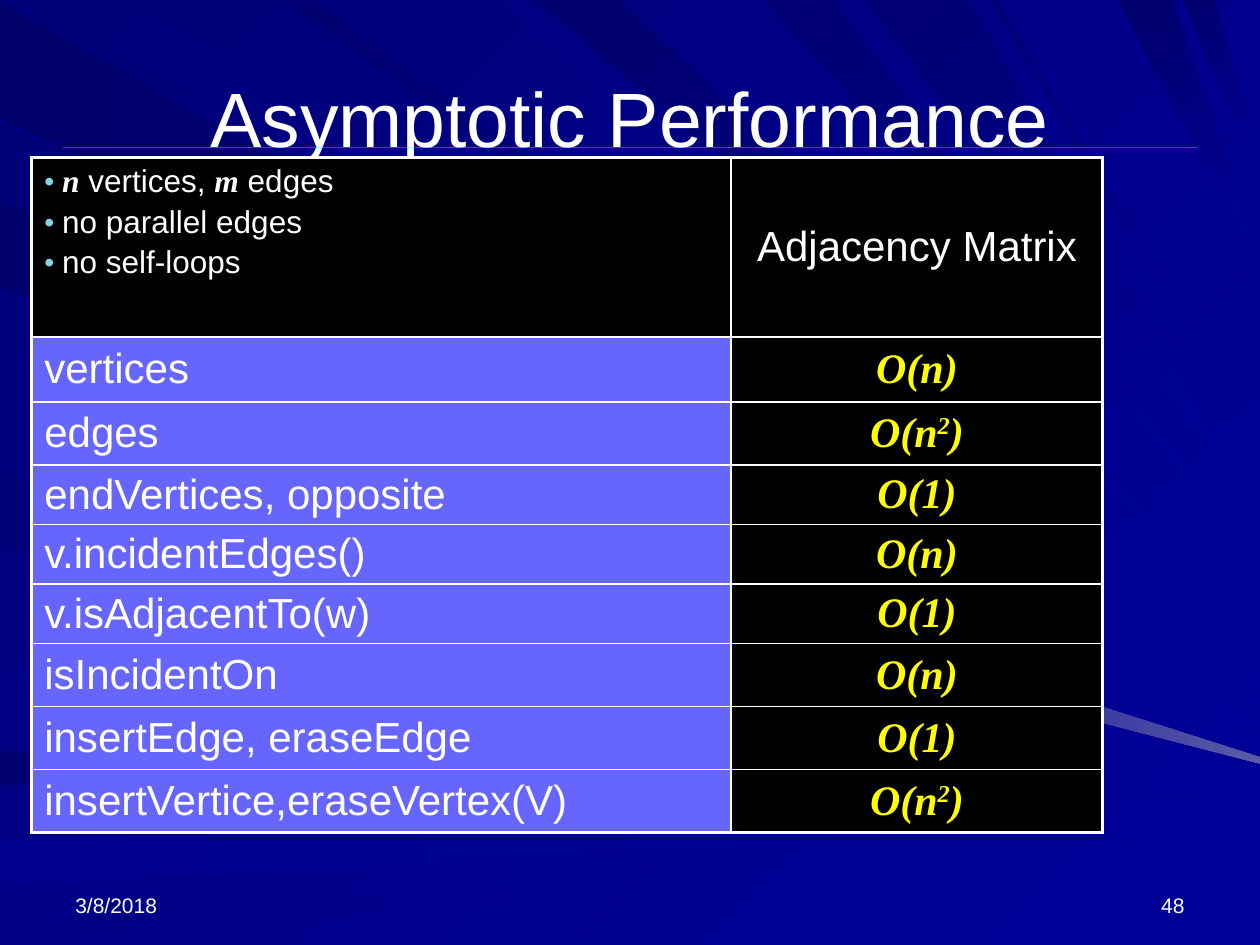
from dataclasses import dataclass

from lxml import etree
from pptx import Presentation
from pptx.dml.color import RGBColor
from pptx.enum.shapes import MSO_CONNECTOR
from pptx.enum.text import MSO_ANCHOR, PP_ALIGN
from pptx.oxml.ns import qn
from pptx.util import Cm, Pt

LEFT, CENTER, RIGHT = PP_ALIGN.LEFT, PP_ALIGN.CENTER, PP_ALIGN.RIGHT
TOP, MIDDLE, BOTTOM = MSO_ANCHOR.TOP, MSO_ANCHOR.MIDDLE, MSO_ANCHOR.BOTTOM
STRAIGHT = MSO_CONNECTOR.STRAIGHT

COLORS = {
    "white": "FFFFFF", "black": "000000", "yellow": "FFFF00",
    "operation": "6666FF", "bullet": "86D1EC", "rule": "EF0129",
    "background": "000078", "beam end": "000099", "glow": "5A5AA6",
}
BEAM_UNIT = Cm(0.0254)
RIGHT_EDGE = 1000
OUTER_BORDER, INNER_BORDER = Pt(2.25), Pt(1)


@dataclass(frozen=True)
class Beam:
    """A ray from a span on the top or left edge to a point on the right edge."""
    first: int
    last: int
    end: int
    color: str


@dataclass(frozen=True)
class Style:
    font: str
    size: int
    color: str = COLORS["white"]
    emphasis: bool = False


@dataclass(frozen=True)
class Piece:
    text: str
    style: Style
    raised: bool = False


TITLE = Style("Arial", 44)
FOOTER = Style("Arial", 12)
NOTE = Style("Arial", 18)
VARIABLE = Style("Times New Roman", 18, emphasis=True)
LABEL = Style("Arial", 24)
COST = Style("Times New Roman", 24, COLORS["yellow"], True)

LEFT_BEAMS = [
    Beam(2, 93, 570, "000069"), Beam(596, 623, 632, "000071"),
    Beam(665, 704, 647, "00008C"), Beam(735, 750, 662, "000085"),
    Beam(159, 228, 585, "00006B"), Beam(278, 342, 600, "00007E"),
    Beam(374, 437, 606, "00007B"),
]
TOP_BEAMS = [
    Beam(26, 101, 563, "00007B"), Beam(398, 416, 518, "000083"),
    Beam(426, 492, 493, "00006D"), Beam(606, 661, 446, "000073"),
    Beam(887, 930, 210, "00006B"), Beam(939, 964, 140, "00006D"),
    Beam(225, 247, 550, "000070"), Beam(686, 770, 410, "000073"),
    Beam(785, 792, 357, "000078"),
]
GLOW = [(637, 485), (633, 511), (RIGHT_EDGE, 606), (RIGHT_EDGE, 601)]

LINEAR = [Piece("O(n)", COST)]
CONSTANT = [Piece("O(1)", COST)]
QUADRATIC = [Piece("O(n", COST), Piece("2", COST, raised=True), Piece(")", COST)]
OPERATIONS = [
    ("vertices", LINEAR), ("edges", QUADRATIC), ("endVertices, opposite", CONSTANT),
    ("v.incidentEdges()", LINEAR), ("v.isAdjacentTo(w)", CONSTANT),
    ("isIncidentOn", LINEAR), ("insertEdge, eraseEdge", CONSTANT),
    ("insertVertice,eraseVertex(V)", QUADRATIC),
]
ASSUMPTIONS = [
    [Piece("n", VARIABLE), Piece(" vertices, ", NOTE), Piece("m", VARIABLE), Piece(" edges", NOTE)],
    [Piece("no parallel edges", NOTE)],
    [Piece("no self-loops", NOTE)],
]
COLUMN_WIDTHS = [14.1, 7.49]
ROW_HEIGHTS = [3.61, 1.31, 1.27] + [1.2] * 3 + [1.27] * 3


def format_run(run, style: Style) -> None:
    run.font.name = style.font
    run.font.size = Pt(style.size)
    run.font.bold = run.font.italic = style.emphasis
    run.font.color.rgb = RGBColor.from_string(style.color)


def write_pieces(paragraph, pieces: list, alignment=LEFT) -> None:
    paragraph.alignment = alignment
    for piece in pieces:
        run = paragraph.add_run()
        run.text = piece.text
        format_run(run, piece.style)
        if piece.raised:
            run.font._element.set("baseline", "30000")


def fill_gradient(fill, start: str, end: str, angle: int) -> None:
    """Fill from start to end, with the angle counted clockwise."""
    fill.gradient()
    fill.gradient_angle = (360 - angle) % 360
    for stop, color in zip(fill.gradient_stops, (start, end)):
        stop.color.rgb = RGBColor.from_string(color)


def draw_polygon(slide, points: list, start: str, end: str, angle: int) -> None:
    builder = slide.shapes.build_freeform(*points[0], scale=BEAM_UNIT)
    builder.add_line_segments(points[1:], close=True)
    shape = builder.convert_to_shape()
    shape.shadow.inherit = False
    shape.line.fill.background()
    fill_gradient(shape.fill, start, end, angle)


def draw_beams(slide) -> None:
    for beam in LEFT_BEAMS:
        points = [(0, beam.first), (0, beam.last), (RIGHT_EDGE, beam.end)]
        draw_polygon(slide, points, beam.color, COLORS["beam end"], 0)
    for beam in TOP_BEAMS:
        points = [(beam.first, 0), (beam.last, 0), (RIGHT_EDGE, beam.end)]
        draw_polygon(slide, points, beam.color, COLORS["beam end"], 45)
    draw_polygon(slide, GLOW, COLORS["beam end"], COLORS["glow"], 0)


def draw_rule(slide) -> None:
    rule = slide.shapes.add_connector(STRAIGHT, Cm(1.27), Cm(2.97), Cm(24.13), Cm(2.97))
    rule.line.color.rgb = RGBColor.from_string(COLORS["rule"])
    rule.line.width = Pt(0.75)
    etree.SubElement(rule.element.spPr, qn("a:effectLst"))


def draw_footer(slide, text: str, left: float, alignment) -> None:
    frame = slide.shapes.add_textbox(Cm(left), Cm(17.35), Cm(5.92), Cm(1.27)).text_frame
    frame.word_wrap = True
    frame.vertical_anchor = BOTTOM
    write_pieces(frame.paragraphs[0], [Piece(text, FOOTER)], alignment)


def place_title(slide, text: str) -> None:
    title = slide.shapes.title
    title.left, title.top, title.width, title.height = Cm(1.27), Cm(0.76), Cm(22.86), Cm(3.18)
    title.text_frame.text = text
    title.text_frame.vertical_anchor = MIDDLE
    paragraph = title.text_frame.paragraphs[0]
    paragraph.alignment = CENTER
    format_run(paragraph.runs[0], TITLE)
    title.element.getparent().append(title.element)  # in front of the beams


def add_bullet(paragraph) -> None:
    properties = paragraph._p.get_or_add_pPr()
    properties.set("marL", str(Cm(0.36)))
    properties.set("indent", str(-Cm(0.36)))
    color = etree.SubElement(properties, qn("a:buClr"))
    etree.SubElement(color, qn("a:srgbClr"), val=COLORS["bullet"])
    etree.SubElement(properties, qn("a:buSzPct"), val="90000")
    etree.SubElement(properties, qn("a:buFont"), typeface="Arial")
    etree.SubElement(properties, qn("a:buChar"), char="•")


def format_cell(cell, row: int, column: int) -> None:
    last_row, last_column = len(ROW_HEIGHTS) - 1, len(COLUMN_WIDTHS) - 1
    on_edge = {"lnL": column == 0, "lnR": column == last_column,
               "lnT": row == 0, "lnB": row == last_row}
    properties = cell._tc.get_or_add_tcPr()
    for side, outer in on_edge.items():
        width = OUTER_BORDER if outer else INNER_BORDER
        line = etree.SubElement(properties, qn(f"a:{side}"), w=str(width))
        fill = etree.SubElement(line, qn("a:solidFill"))
        etree.SubElement(fill, qn("a:srgbClr"), val=COLORS["white"])
    cell.fill.solid()
    color = COLORS["operation" if row and column == 0 else "black"]
    cell.fill.fore_color.rgb = RGBColor.from_string(color)
    cell.vertical_anchor = MIDDLE if row or column else TOP


def draw_table(slide) -> None:
    table = slide.shapes.add_table(
        len(ROW_HEIGHTS), len(COLUMN_WIDTHS), Cm(0.64), Cm(3.18),
        Cm(sum(COLUMN_WIDTHS)), Cm(sum(ROW_HEIGHTS))).table
    table.first_row = table.horz_banding = False
    for column, width in zip(table.columns, COLUMN_WIDTHS):
        column.width = Cm(width)
    for row_index, row in enumerate(table.rows):
        row.height = Cm(ROW_HEIGHTS[row_index])
        for column_index, cell in enumerate(row.cells):
            format_cell(cell, row_index, column_index)

    frame = table.cell(0, 0).text_frame
    for index, pieces in enumerate(ASSUMPTIONS):
        paragraph = frame.add_paragraph() if index else frame.paragraphs[0]
        if index:
            paragraph.space_before = Pt(3)
        add_bullet(paragraph)
        write_pieces(paragraph, pieces)
    heading = table.cell(0, 1).text_frame.paragraphs[0]
    write_pieces(heading, [Piece("Adjacency Matrix", LABEL)], CENTER)
    for index, (operation, cost) in enumerate(OPERATIONS, start=1):
        write_pieces(table.cell(index, 0).text_frame.paragraphs[0], [Piece(operation, LABEL)])
        write_pieces(table.cell(index, 1).text_frame.paragraphs[0], cost, CENTER)


def main() -> None:
    presentation = Presentation()
    presentation.slide_width, presentation.slide_height = Cm(25.4), Cm(19.05)
    slide = presentation.slides.add_slide(presentation.slide_layouts[5])
    fill_gradient(slide.background.fill, COLORS["background"], COLORS["beam end"], 45)
    draw_beams(slide)
    draw_rule(slide)
    draw_footer(slide, "3/8/2018", 1.27, LEFT)
    draw_footer(slide, "48", 18.21, RIGHT)
    place_title(slide, "Asymptotic Performance")
    draw_table(slide)
    presentation.save("out.pptx")


if __name__ == "__main__":
    main()
